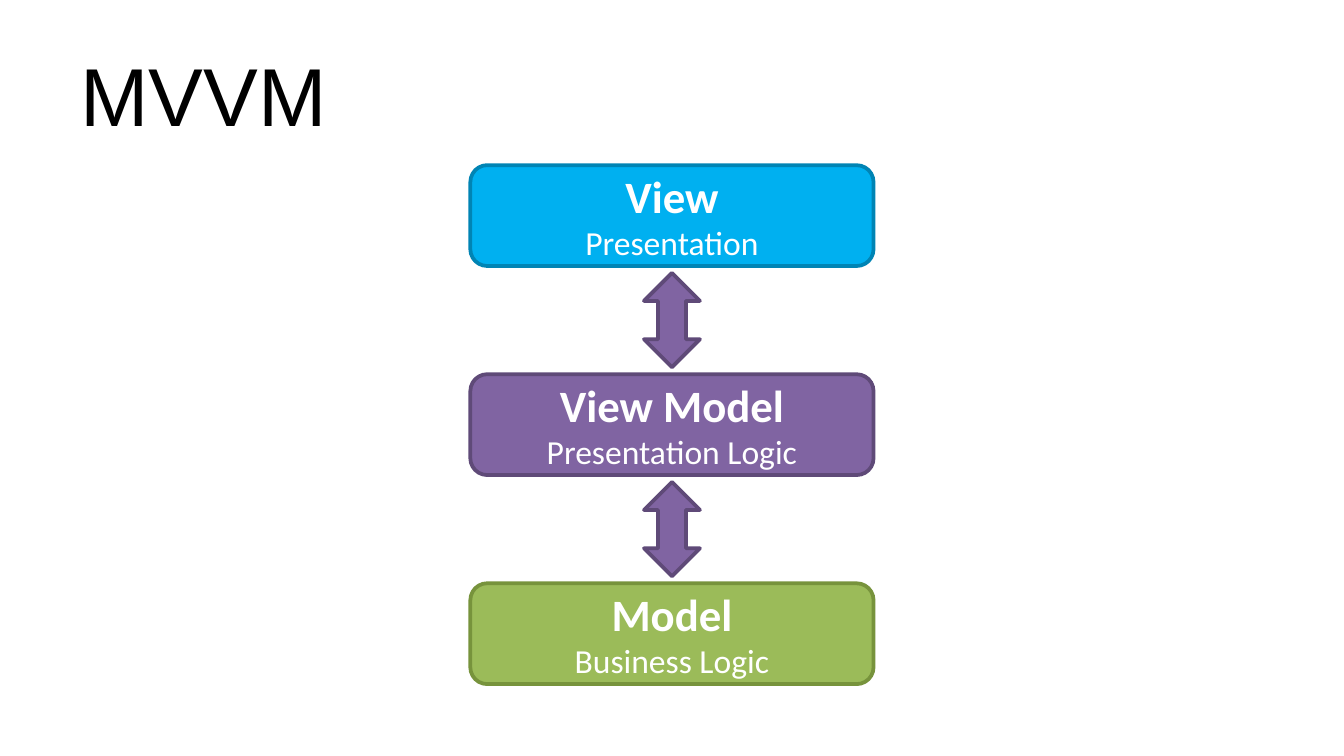
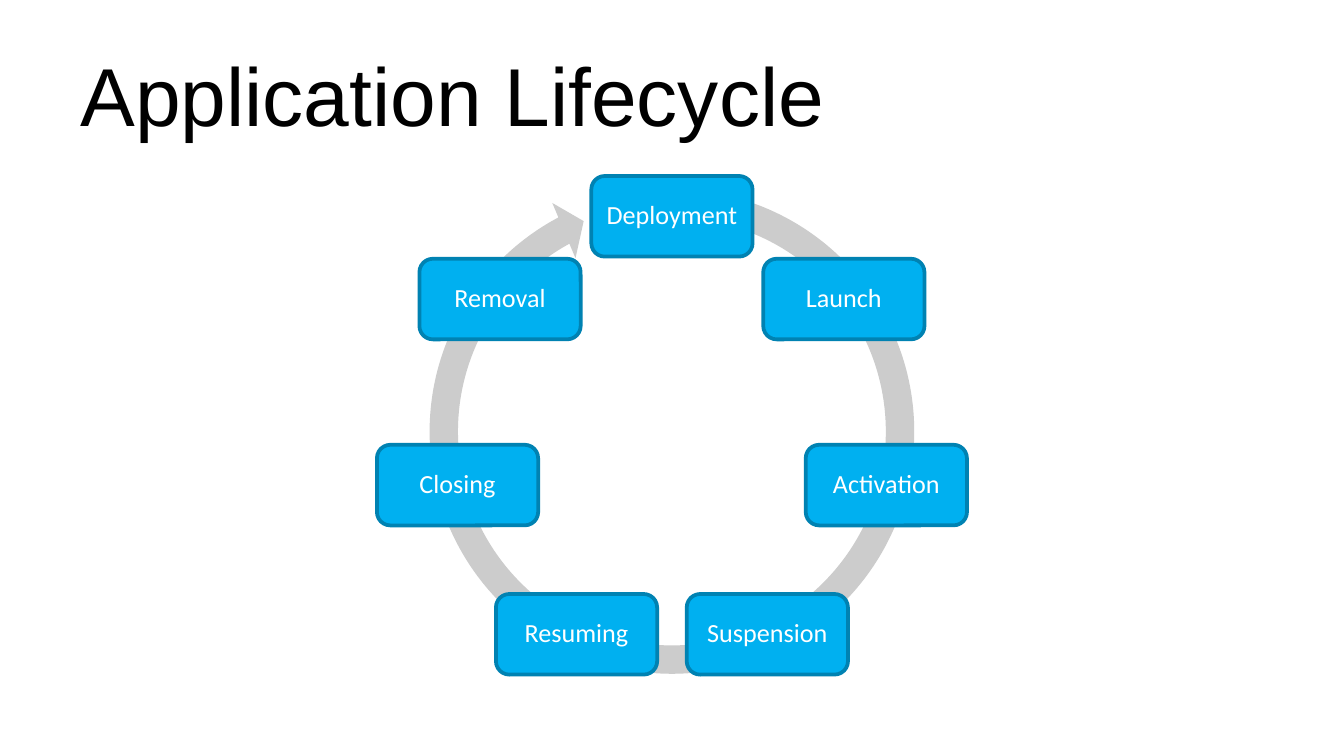
from math import cos, sin, tau

from pptx import Presentation
from pptx.dml.color import RGBColor
from pptx.enum.shapes import MSO_SHAPE
from pptx.enum.text import MSO_ANCHOR, PP_ALIGN
from pptx.util import Pt

ROUNDED = MSO_SHAPE.ROUNDED_RECTANGLE
DOUBLE_ARROW = MSO_SHAPE.UP_DOWN_ARROW
CIRCULAR_ARROW = MSO_SHAPE.CIRCULAR_ARROW
MIDDLE = MSO_ANCHOR.MIDDLE
LEFT, CENTER = PP_ALIGN.LEFT, PP_ALIGN.CENTER

# Content: layers as (name, role, fill, line), then the lifecycle clockwise from the top
LAYERS = [
    ("View", "Presentation", "blue", "blue_edge"),
    ("View Model", "Presentation Logic", "purple", "purple_edge"),
    ("Model", "Business Logic", "green", "green_edge"),
]
STAGES = ["Deployment", "Launch", "Activation", "Suspension",
          "Resuming", "Closing", "Removal"]

# Shared style
COLORS = {
    "black": "000000", "white": "FFFFFF", "grey": "CCCCCC",
    "blue": "00B0F0", "blue_edge": "0084B4", "stage_edge": "0082B2",
    "purple": "8064A2", "purple_edge": "5F4A78",
    "green": "9BBB59", "green_edge": "77933C",
}
TITLE = {"name": "Arial", "size": Pt(44), "color": "black"}
LAYER_NAME = {"name": "Calibri", "size": Pt(24), "bold": True, "color": "white"}
LAYER_ROLE = {"name": "Calibri", "size": Pt(18), "bold": False, "color": "white"}
STAGE = {"name": "Calibri", "size": Pt(14), "color": "white"}

# Layout in points
PAGE_WIDTH, PAGE_HEIGHT = 720, 405
MIDDLE_X = PAGE_WIDTH / 2
LAYER_WIDTH, LAYER_HEIGHT, LAYER_TOP, LAYER_PITCH = 216, 54, 88.5, 112
ARROW_WIDTH, ARROW_HEIGHT = 30, 50.5
STAGE_WIDTH, STAGE_HEIGHT, STAGE_INSET = 86.4, 43.2, 4.2
RING_Y, RING_RADIUS = 233.7, 117.8
LOOP_Y, LOOP_SIZE = 231.2, 276.5
LOOP_ADJUSTMENTS = [0.055, 3.307, 145.041, 169.569, 0.058]


def rgb(color):
    return RGBColor.from_string(COLORS[color])


def add_text(shape, lines, align):
    """Write (text, format) pairs, one paragraph each."""
    frame = shape.text_frame
    frame.word_wrap = True
    frame.vertical_anchor = MIDDLE
    for index, (text, style) in enumerate(lines):
        para = frame.add_paragraph() if index else frame.paragraphs[0]
        para.alignment = align
        span = para.add_run()
        span.text = text
        for key, value in style.items():
            if key == "color":
                span.font.color.rgb = rgb(value)
            else:
                setattr(span.font, key, value)
    return frame


def add_centered(page, kind, x, y, width, height, fill, line=None):
    """Draw a preset shape around the point (x, y)."""
    shape = page.shapes.add_shape(
        kind, Pt(x - width / 2), Pt(y - height / 2), Pt(width), Pt(height))
    shape.shadow.inherit = False
    shape.fill.solid()
    shape.fill.fore_color.rgb = rgb(fill)
    if line:
        shape.line.color.rgb = rgb(line)
        shape.line.width = Pt(2)
    else:
        shape.line.fill.background()
    return shape


def add_page(deck, title):
    page = deck.slides.add_slide(deck.slide_layouts[6])
    box = page.shapes.add_textbox(Pt(36), Pt(16.5), Pt(648), Pt(67.5))
    add_text(box, [(title, TITLE)], LEFT)
    return page


def build_layers(deck):
    page = add_page(deck, "MVVM")
    first_y = LAYER_TOP + LAYER_HEIGHT / 2
    for index, (name, role, fill, line) in enumerate(LAYERS):
        box = add_centered(page, ROUNDED, MIDDLE_X, first_y + index * LAYER_PITCH,
                           LAYER_WIDTH, LAYER_HEIGHT, fill, line)
        add_text(box, [(name, LAYER_NAME), (role, LAYER_ROLE)], CENTER)
    # Arrows halfway between neighbouring layers
    for index in range(len(LAYERS) - 1):
        add_centered(page, DOUBLE_ARROW, MIDDLE_X, first_y + (index + 0.5) * LAYER_PITCH,
                     ARROW_WIDTH, ARROW_HEIGHT, "purple", "purple_edge")


def build_lifecycle(deck):
    page = add_page(deck, "Application Lifecycle")
    loop = add_centered(page, CIRCULAR_ARROW, MIDDLE_X, LOOP_Y,
                        LOOP_SIZE, LOOP_SIZE, "grey")
    for index, value in enumerate(LOOP_ADJUSTMENTS):
        loop.adjustments[index] = value
    # Stages evenly spaced on the ring
    for index, stage in enumerate(STAGES):
        angle = tau * index / len(STAGES)
        box = add_centered(page, ROUNDED, MIDDLE_X + RING_RADIUS * sin(angle),
                           RING_Y - RING_RADIUS * cos(angle),
                           STAGE_WIDTH, STAGE_HEIGHT, "blue", "stage_edge")
        frame = add_text(box, [(stage, STAGE)], CENTER)
        frame.paragraphs[0].line_spacing = 0.9
        for side in ("left", "right", "top", "bottom"):
            setattr(frame, f"margin_{side}", Pt(STAGE_INSET))


def main():
    deck = Presentation()
    deck.slide_width, deck.slide_height = Pt(PAGE_WIDTH), Pt(PAGE_HEIGHT)
    build_layers(deck)
    build_lifecycle(deck)
    deck.save("out.pptx")


if __name__ == "__main__":
    main()
